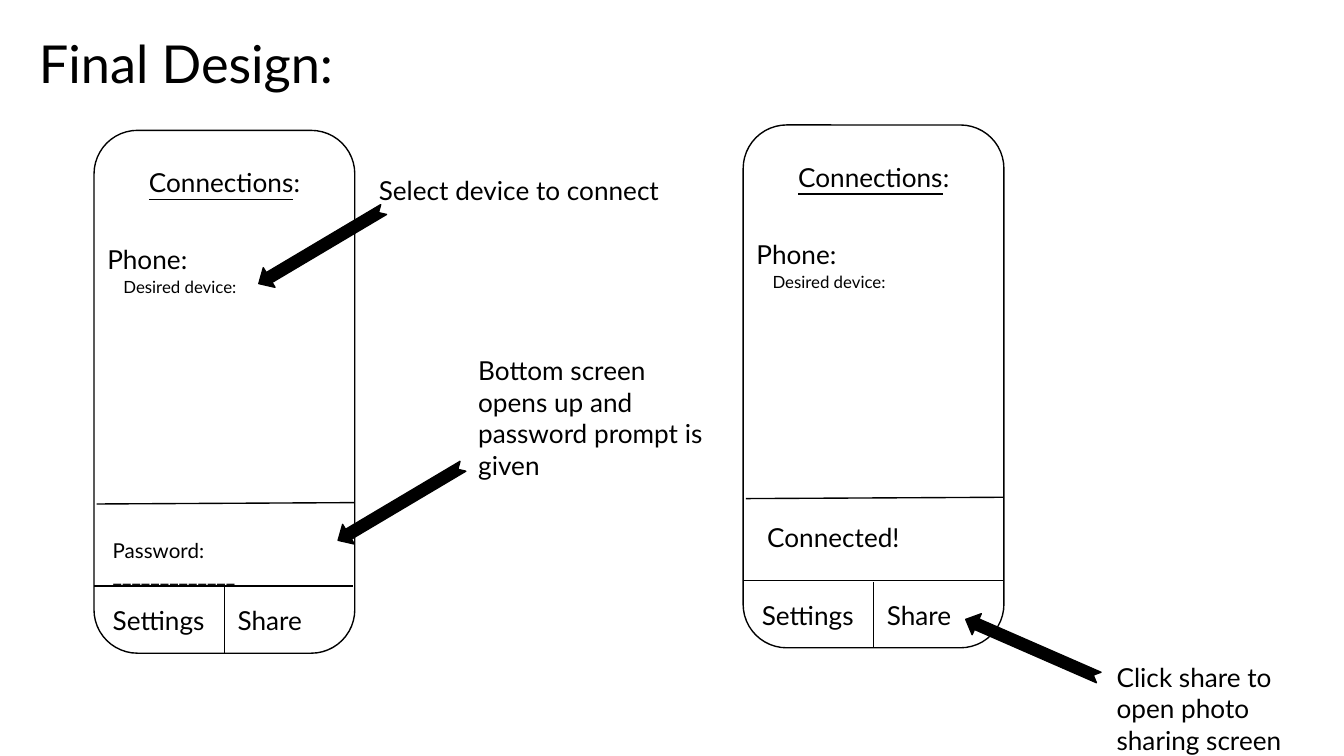
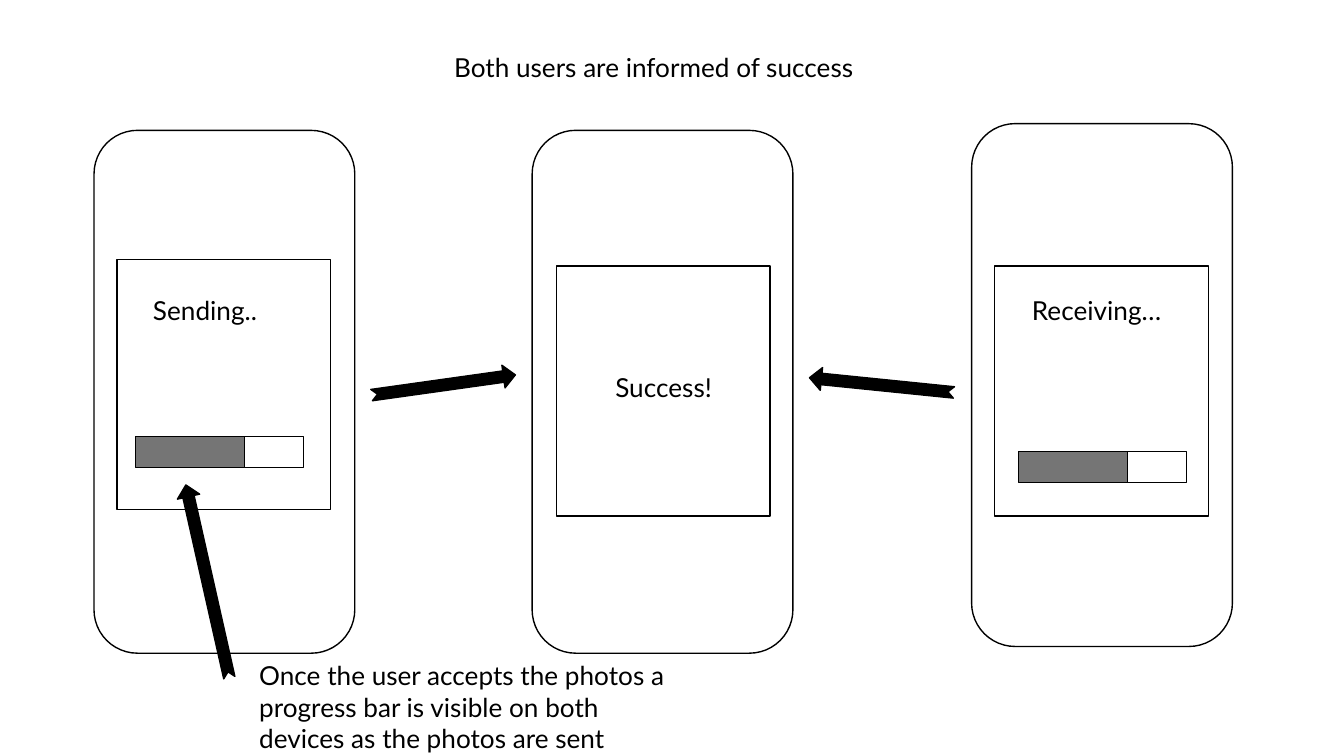
from lxml.etree import SubElement
from pptx import Presentation
from pptx.dml.color import RGBColor
from pptx.enum.shapes import MSO_CONNECTOR, MSO_SHAPE
from pptx.enum.text import MSO_ANCHOR, MSO_AUTO_SIZE, PP_ALIGN
from pptx.oxml.ns import qn
from pptx.util import Emu, Pt

# Shared style: 100 px to the inch
PX = 9144
FONT = "Lato"
BLACK, WHITE, GREY = "000000", "FFFFFF", "757575"
LINE_WIDTH = Pt(0.75)
BODY, TITLE = 14, 28
PHONE_SIZE = (194, 389)
SCREEN_SIZE = (159, 186)


def px(*lengths):
    return [Emu(length * PX) for length in lengths]


def color(value):
    return RGBColor.from_string(value)


# Text
def style_text(frame, size):
    frame.word_wrap = True
    frame.auto_size = MSO_AUTO_SIZE.NONE
    frame.vertical_anchor = MSO_ANCHOR.TOP
    frame.margin_left, frame.margin_top, frame.margin_right, frame.margin_bottom = px(10, 10, 10, 10)
    for para in frame.paragraphs:
        para.alignment = PP_ALIGN.LEFT
        for span in para.runs:
            span.font.name = FONT
            span.font.size = Pt(size)
            span.font.color.rgb = color(BLACK)


def add_title(page, text, left, top, width, height):
    title = page.shapes.title
    title.left, title.top, title.width, title.height = px(left, top, width, height)
    title.text_frame.text = text
    title.fill.solid()
    title.fill.fore_color.rgb = color(WHITE)
    style_text(title.text_frame, TITLE)


def add_label(page, text, left, top, width, height=31, size=BODY):
    box = page.shapes.add_textbox(*px(left, top, width, height))
    box.text_frame.text = text
    style_text(box.text_frame, size)
    return box


def add_heading(page, text, left, top, width, height):
    box = add_label(page, text, left, top, width, height)
    para = box.text_frame.paragraphs[0]
    para.runs[0].font.underline = True
    para.add_run().text = ":"
    style_text(box.text_frame, BODY)


# Shapes
def add_outlined(page, kind, left, top, width, height, fill=WHITE):
    shape = page.shapes.add_shape(kind, *px(left, top, width, height))
    shape.shadow.inherit = False
    shape.fill.solid()
    shape.fill.fore_color.rgb = color(fill)
    shape.line.color.rgb = color(BLACK)
    shape.line.width = LINE_WIDTH
    return shape


def add_phone(page, left, top):
    phone = add_outlined(page, MSO_SHAPE.ROUNDED_RECTANGLE, left, top, *PHONE_SIZE)
    phone.adjustments[0] = 0.167
    return phone


def add_arrow(page, left, top, angle, length=108):
    arrow = add_outlined(page, MSO_SHAPE.NOTCHED_RIGHT_ARROW, left, top, length, 17, BLACK)
    arrow.adjustments[0] = 0.5
    arrow.adjustments[1] = 0.524
    arrow.rotation = angle


def add_line(page, left, top, right, bottom):
    line = page.shapes.add_connector(MSO_CONNECTOR.STRAIGHT, *px(left, top, right, bottom))
    line.line.color.rgb = color(BLACK)
    line.line.width = LINE_WIDTH
    SubElement(line._element.spPr, qn("a:effectLst"))
    return line


# Phone mock-ups
def add_connections_phone(page, left, top):
    phone = add_phone(page, left, top)
    add_heading(page, "Connections", left + 31, top + 17, 147, 40)
    add_label(page, "Phone:", left, top + 74, 170)
    add_label(page, "Desired device:", left + 12, top + 99, 147, size=9)
    # Status panel and the two buttons below it
    add_line(page, left + 2, top + 278, left + 194, top + 277)
    add_line(page, left, top + 339, left + 193, top + 339)
    divider = add_line(page, left + 97, top + 340, left + 97, top + 389)
    divider.end_connect(phone, 2)
    add_label(page, "Settings", left + 4, top + 343, 105)
    add_label(page, "Share", left + 97, top + 343, 136, 54)


def add_screen(page, left, top):
    add_outlined(page, MSO_SHAPE.RECTANGLE, left, top, *SCREEN_SIZE)


def add_progress_bar(page, left, top, done=81, rest=44, height=23):
    add_outlined(page, MSO_SHAPE.RECTANGLE, left, top, done, height, GREY)
    add_outlined(page, MSO_SHAPE.RECTANGLE, left + done, top, rest, height)


# Slides
def build_final_design(deck):
    page = deck.slides.add_slide(deck.slide_layouts[5])
    add_title(page, "Final Design:", 19, 13, 890, 84)
    add_connections_phone(page, 70, 97)
    add_label(page, "Password: _____________", 74, 390, 173, size=11)
    add_connections_phone(page, 553, 93)
    add_label(page, "Connected!", 561, 378, 153)
    # Callouts
    add_label(page, "Select device to connect", 272, 120, 281, 77)
    add_arrow(page, 185, 175, 149.3)
    add_label(page, "Bottom screen opens up and password prompt is given", 346, 254, 193, 54)
    add_arrow(page, 244, 366, 149.3)
    add_label(page, "Click share to open photo sharing screen", 821, 482, 177, 54)
    add_arrow(page, 714, 474, 203.6)


def build_transfer(deck):
    page = deck.slides.add_slide(deck.slide_layouts[6])
    for left, top in ((70, 97), (396, 97), (723, 92)):
        add_phone(page, left, top)
    for left, top in ((87, 193), (414, 198), (740, 198)):
        add_screen(page, left, top)
    # Screen contents
    add_label(page, "Sending..", 104, 209, 124)
    add_label(page, "Success!", 448, 266, 124)
    add_label(page, "Receiving…", 758, 209, 124)
    add_progress_bar(page, 101, 325)
    add_progress_bar(page, 758, 336)
    # Callouts
    add_arrow(page, 81, 424, 257.3, 147)
    add_label(page, "Once the user accepts the photos a progress bar is visible on both "
                    "devices as the photos are sent", 183, 481, 332, 53)
    add_arrow(page, 276, 278, 352)
    add_arrow(page, 602, 278, 185.8)
    add_label(page, "Both users are informed of success", 328, 28, 332, 53)


def main():
    deck = Presentation()
    # Widescreen, 16 to 9
    deck.slide_width = Emu(1000 * PX)
    deck.slide_height = Emu(deck.slide_width * 9 // 16)
    build_final_design(deck)
    build_transfer(deck)
    deck.save("out.pptx")


if __name__ == "__main__":
    main()
